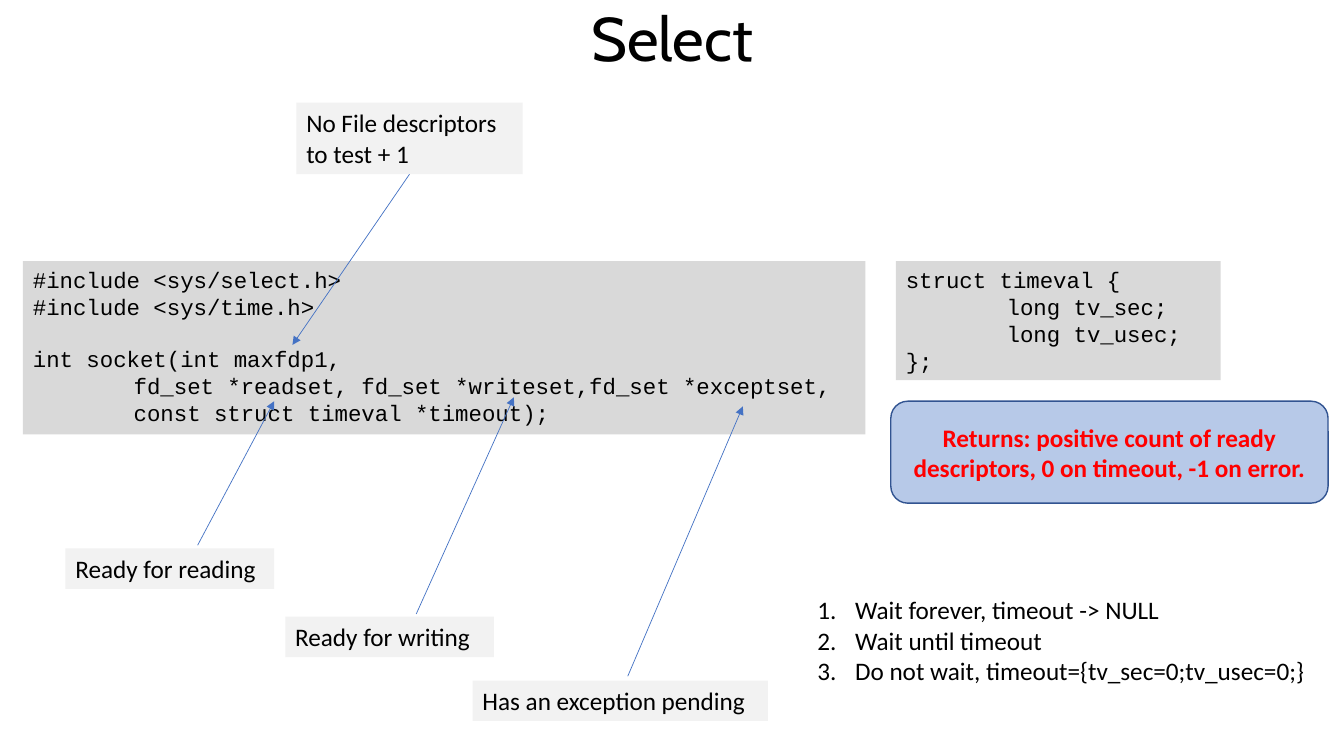
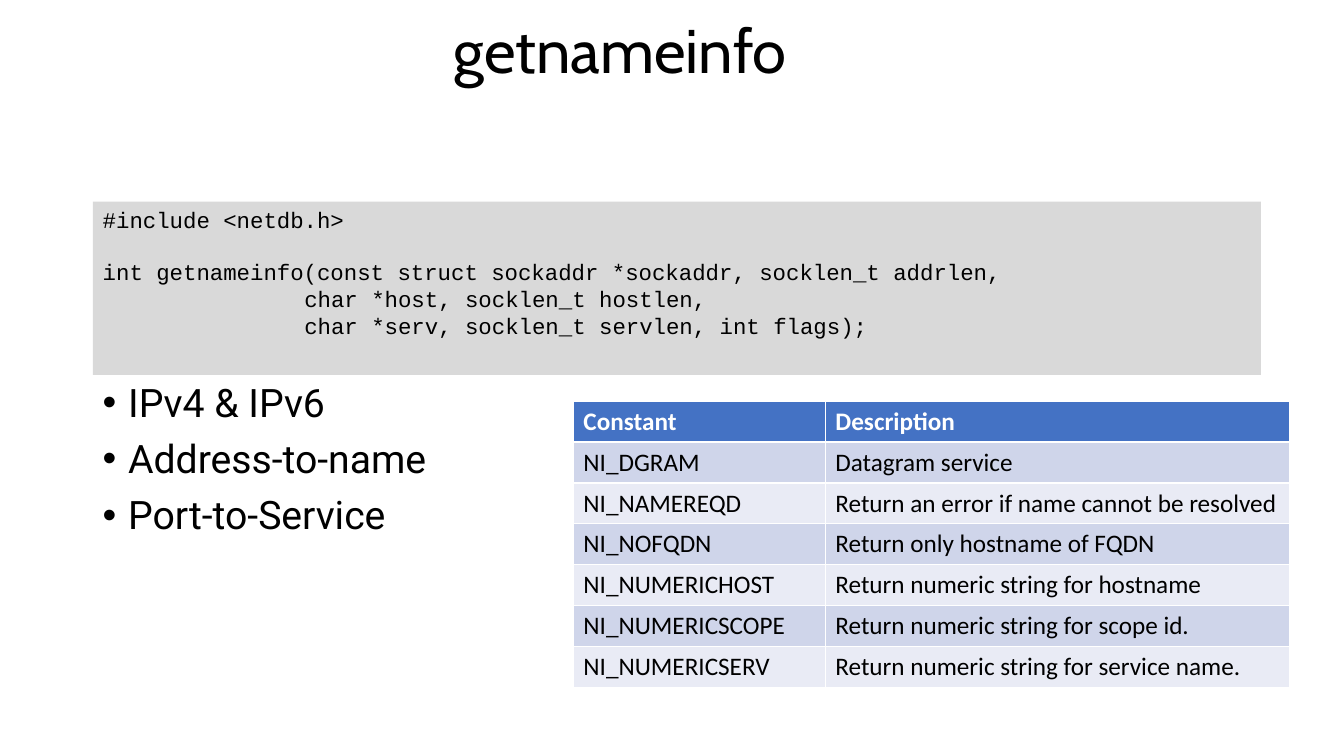
from dataclasses import dataclass
from typing import Optional, Sequence

from lxml import etree
from pptx import Presentation
from pptx.dml.color import RGBColor
from pptx.enum import shapes, text
from pptx.oxml import ns
from pptx.util import Cm, Pt


@dataclass(frozen=True)
class Style:
    font: str
    size: int
    color: str = "000000"
    bold: bool = False


@dataclass(frozen=True)
class Theme:
    title: Style = Style("Cabin", 44)
    code: Style = Style("Courier New", 16)
    note: Style = Style("Calibri", 18)
    alert: Style = Style("Calibri", 18, "FF0000", True)
    head: Style = Style("Calibri", 18, "FFFFFF", True)
    point: Style = Style("Roboto", 28)
    accent: str = "4472C4"
    edge: str = "325491"
    panel: str = "D9D9D9"
    label: str = "F2F2F2"
    bands: tuple[str, str] = ("CFD5EA", "E9EBF5")


@dataclass(frozen=True)
class Box:
    left: float
    top: float
    width: float
    height: float

    def emu(self) -> tuple[Cm, Cm, Cm, Cm]:
        return Cm(self.left), Cm(self.top), Cm(self.width), Cm(self.height)


@dataclass(frozen=True)
class Line:
    """A line of code, with its tab depth and whether a gap precedes it."""
    text: str
    depth: int = 0
    gap: bool = False


@dataclass(frozen=True)
class Label:
    text: str
    box: Box
    start: tuple[float, float]
    end: tuple[float, float]
    join: Optional[int] = None


THEME = Theme()
TAB = 2.54

SELECT = [
    Line("#include <sys/select.h>"),
    Line("#include <sys/time.h>"),
    Line("int socket(int maxfdp1,", gap=True),
    Line("fd_set *readset, fd_set *writeset,fd_set *exceptset,", 1),
    Line("const struct timeval *timeout);", 1),
]
TIMEVAL = [
    Line("struct timeval {"),
    Line("long tv_sec;", 1),
    Line("long tv_usec;", 1),
    Line("};"),
]
NAMEINFO = [
    Line("#include <netdb.h>"),
    Line("int getnameinfo(const struct sockaddr *sockaddr, socklen_t addrlen,",
         gap=True),
    Line("char *host, socklen_t hostlen,", 2),
    Line("char *serv, socklen_t servlen, int flags);", 2),
]
LABELS = [
    Label("Ready for reading", Box(1.65, 13.82, 5.26, 1.02),
          (4.98, 13.74), (6.91, 10.11)),
    Label("Ready for writing", Box(7.19, 15.54, 5.26, 1.02),
          (10.49, 15.47), (12.95, 10.01)),
    Label("Has an exception pending", Box(11.91, 17.15, 7.44, 1.02),
          (15.82, 17.04), (18.72, 10.24)),
    Label("No File descriptors to test + 1", Box(7.47, 2.59, 5.7, 1.8),
          (10.24, 4.39), (7.37, 8.69), join=2),
]
WAITS = [
    "Wait forever, timeout -> NULL",
    "Wait until timeout",
    "Do not wait, timeout={tv_sec=0;tv_usec=0;}",
]
POINTS = ["IPv4 & IPv6", "Address-to-name", "Port-to-Service"]
FLAGS = [
    ("Constant", "Description"),
    ("NI_DGRAM", "Datagram service"),
    ("NI_NAMEREQD", "Return an error if name cannot be resolved"),
    ("NI_NOFQDN", "Return only hostname of FQDN"),
    ("NI_NUMERICHOST", "Return numeric string for hostname"),
    ("NI_NUMERICSCOPE", "Return numeric string for scope id."),
    ("NI_NUMERICSERV", "Return numeric string for service name."),
]


def paint(fill, color: str) -> None:
    fill.solid()
    fill.fore_color.rgb = RGBColor.from_string(color)


def add_tag(parent, tag: str, **attrs: str):
    return etree.SubElement(parent, ns.qn(tag), attrs)


def set_font(para, style: Style) -> None:
    font = para.font
    font.name, font.size, font.bold = style.font, Pt(style.size), style.bold
    font.color.rgb = RGBColor.from_string(style.color)


def add_text(slide, box: Box, lines: Sequence[str], style: Style,
             fill: Optional[str] = None):
    shape = slide.shapes.add_textbox(*box.emu())
    if fill:
        paint(shape.fill, fill)
    frame = shape.text_frame
    frame.word_wrap = True
    frame.text = "\n".join(lines)
    for para in frame.paragraphs:
        set_font(para, style)
    return shape


def add_title(deck, title: str, box: Box):
    slide = deck.slides.add_slide(deck.slide_layouts[5])
    shape = slide.shapes.title
    shape.left, shape.top, shape.width, shape.height = box.emu()
    frame = shape.text_frame
    frame.text = title
    frame.auto_size = text.MSO_AUTO_SIZE.NONE
    frame.vertical_anchor = text.MSO_ANCHOR.MIDDLE
    para = frame.paragraphs[0]
    para.alignment = text.PP_ALIGN.CENTER
    para.line_spacing = 0.9
    set_font(para, THEME.title)
    return slide


def add_code(slide, box: Box, lines: Sequence[Line]) -> None:
    shape = add_text(slide, box, [line.text for line in lines],
                     THEME.code, THEME.panel)
    for para, line in zip(shape.text_frame.paragraphs, lines):
        if line.depth:
            para._p.get_or_add_pPr().set("marL", str(Cm(TAB * line.depth)))
        if line.gap:
            para.space_before = Pt(18)


def add_list(slide, box: Box, items: Sequence[str], style: Style,
             indent: float, mark: str, **attrs: str):
    """Add a list whose bullet is the element named by mark."""
    shape = add_text(slide, box, items, style)
    for para in shape.text_frame.paragraphs:
        props = para._p.get_or_add_pPr()
        props.set("marL", str(Cm(indent)))
        props.set("indent", str(-Cm(indent)))
        face = etree.Element(ns.qn("a:buFont"), typeface="Arial")
        bullet = etree.Element(ns.qn(mark), attrs)
        props.insert(0, face)
        props.insert(1, bullet)
    return shape


def add_label(slide, label: Label) -> None:
    """Add a label and the arrow that leads from it into the code."""
    shape = add_text(slide, label.box, [label.text], THEME.note, THEME.label)
    ends = [Cm(num) for num in (*label.start, *label.end)]
    arrow = slide.shapes.add_connector(shapes.MSO_CONNECTOR.STRAIGHT, *ends)
    if label.join is not None:
        arrow.begin_connect(shape, label.join)
    arrow.line.width = Pt(0.5)
    paint(arrow.line.fill, THEME.accent)
    add_tag(arrow.line._get_or_add_ln(), "a:tailEnd", type="triangle")
    add_tag(arrow._element.spPr, "a:effectLst")


def add_card(slide, box: Box, words: str) -> None:
    card = slide.shapes.add_shape(
        shapes.MSO_SHAPE.ROUNDED_RECTANGLE, *box.emu())
    card.shadow.inherit = False
    paint(card.fill, THEME.accent)
    tint = card._element.spPr.find(".//" + ns.qn("a:srgbClr"))
    add_tag(tint, "a:alpha", val="38000")
    paint(card.line.fill, THEME.edge)
    card.line.width = Pt(1)
    frame = card.text_frame
    frame.word_wrap = True
    frame.vertical_anchor = text.MSO_ANCHOR.MIDDLE
    frame.text = words
    para = frame.paragraphs[0]
    para.alignment = text.PP_ALIGN.CENTER
    set_font(para, THEME.alert)


def add_grid(slide, box: Box, widths: Sequence[float],
             rows: Sequence[Sequence[str]]) -> None:
    grid = slide.shapes.add_table(len(rows), len(widths), *box.emu()).table
    for col, width in zip(grid.columns, widths):
        col.width = Cm(width)
    for i, row in enumerate(rows):
        for j, words in enumerate(row):
            cell = grid.cell(i, j)
            cell.text = words
            paint(cell.fill, THEME.bands[(i - 1) % 2] if i else THEME.accent)
            set_font(cell.text_frame.paragraphs[0],
                     THEME.note if i else THEME.head)


def draw_select(deck) -> None:
    slide = add_title(deck, "Select", Box(2.34, 0, 29.2, 2.08))
    add_code(slide, Box(22.58, 6.58, 8.18, 3), TIMEVAL)
    add_code(slide, Box(0.58, 6.58, 21.23, 4.37), SELECT)
    add_card(slide, Box(22.45, 10.11, 11.02, 2.57),
             "Returns: positive count of ready descriptors, "
             "0 on timeout, -1 on error.")
    for label in LABELS:
        add_label(slide, label)
    add_list(slide, Box(20.35, 14.86, 12.88, 2.57), WAITS, THEME.note,
             0.95, "a:buAutoNum", type="arabicPeriod")


def draw_nameinfo(deck) -> None:
    slide = add_title(deck, "getnameinfo", Box(3.18, 0, 24.9, 2.72))
    points = add_list(slide, Box(2.34, 9.53, 9.04, 7.09), POINTS, THEME.point,
                      0.64, "a:buChar", char="•")
    for para in points.text_frame.paragraphs:
        para.line_spacing = 0.9
        para.space_before = Pt(10)
    add_code(slide, Box(2.34, 5.08, 29.44, 4.37), NAMEINFO)
    add_grid(slide, Box(14.45, 10.11, 18.05, 7.21), (6.35, 11.7), FLAGS)


def main() -> None:
    deck = Presentation()
    deck.slide_width, deck.slide_height = Cm(33.87), Cm(19.05)
    draw_select(deck)
    draw_nameinfo(deck)
    deck.save("out.pptx")


if __name__ == "__main__":
    main()
